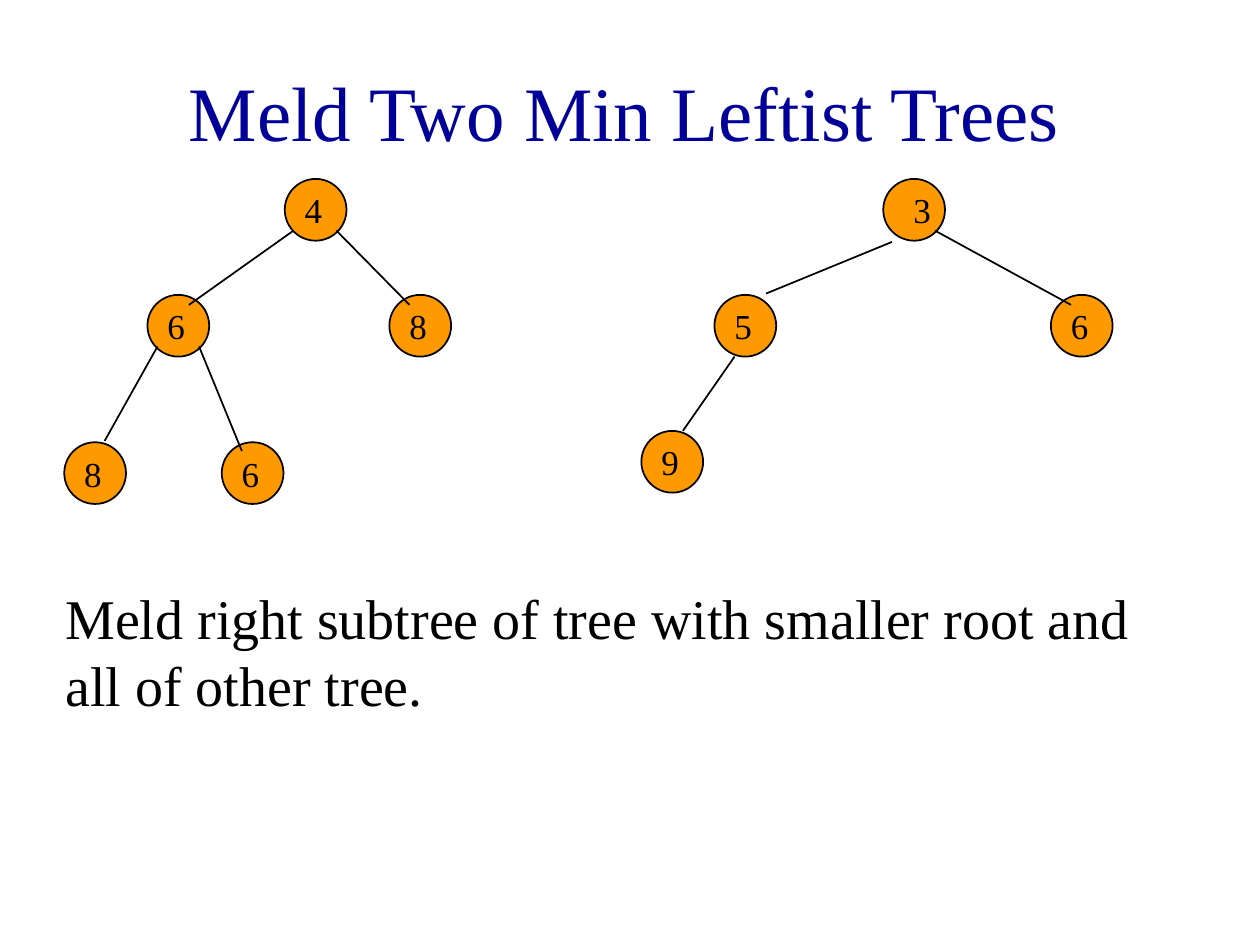
from pptx import Presentation
from pptx import util as u
from pptx.dml.color import RGBColor
from pptx.enum import shapes, text
from pptx.oxml.ns import qn
from lxml import etree

FONT = "Times New Roman"
INK, NAVY, AMBER = "000000", "000099", "FF9900"
SIZE = 0.49

# value, left, top, label offset
NODES = [
    ("4", 2.26, 1.42, 0.06), ("6", 1.17, 2.34, 0.06),
    ("8", 3.09, 2.34, 0.06), ("8", 0.51, 3.51, 0.06),
    ("6", 1.76, 3.51, 0.06), ("3", 7.01, 1.42, 0.14),
    ("5", 5.67, 2.34, 0.06), ("6", 8.34, 2.34, 0.06),
    ("9", 5.09, 3.42, 0.06),
]
EDGES = [
    (2.33, 1.83, 1.5, 2.42), (2.67, 1.83, 3.25, 2.42),
    (1.25, 2.75, 0.83, 3.5), (1.58, 2.75, 1.92, 3.58),
    (7.08, 1.92, 6.08, 2.33), (7.42, 1.83, 8.5, 2.42),
    (5.83, 2.83, 5.42, 3.42),
]


def color(code):
    """Turn a hex string into a colour."""
    return RGBColor.from_string(code)


def stroke(line):
    """Give a line the common thin black style."""
    line.color.rgb = color(INK)
    line.width = u.Pt(1)


def write(slide, words, box, size, code=INK, wrap=True, title=False):
    """Add a text box with one run."""
    frame = slide.shapes.add_textbox(*map(u.Inches, box)).text_frame
    frame.word_wrap = wrap
    para = frame.paragraphs[0]
    if title:
        frame.vertical_anchor = text.MSO_ANCHOR.MIDDLE
        para.alignment = text.PP_ALIGN.CENTER
    else:
        frame.auto_size = text.MSO_AUTO_SIZE.SHAPE_TO_FIT_TEXT
    run = para.add_run()
    run.text = words
    run.font.name = FONT
    run.font.size = u.Pt(size)
    run.font.color.rgb = color(code)


def node(slide, left, top):
    """Add the circle of a tree node."""
    box = map(u.Inches, (left, top, SIZE, SIZE))
    disc = slide.shapes.add_shape(shapes.MSO_SHAPE.OVAL, *box)
    disc.shadow.inherit = False
    disc.fill.solid()
    disc.fill.fore_color.rgb = color(AMBER)
    stroke(disc.line)


def edge(slide, ends):
    """Add a line from parent to child."""
    kind = shapes.MSO_CONNECTOR.STRAIGHT
    link = slide.shapes.add_connector(kind, *map(u.Inches, ends))
    stroke(link.line)
    etree.SubElement(link._element.spPr, qn("a:effectLst"))


def main():
    """Build the slide with both trees."""
    deck = Presentation()
    deck.slide_width, deck.slide_height = u.Inches(10), u.Inches(7.5)
    slide = deck.slides.add_slide(deck.slide_layouts[6])
    write(slide, "Meld Two Min Leftist Trees", (0.08, 0.25, 9.75, 1.25),
          44, NAVY, title=True)
    for value, left, top, shift in NODES:
        node(slide, left, top)
    for ends in EDGES:
        edge(slide, ends)
    for value, left, top, shift in NODES:
        write(slide, value, (left + shift, top + 0.03, 0.34, 0.43),
              20, wrap=False)
    write(slide, "Meld right subtree of tree with smaller root and all of "
          "other tree.", (0.42, 4.58, 8.75, 1.17), 32)
    deck.save("out.pptx")


if __name__ == "__main__":
    main()
